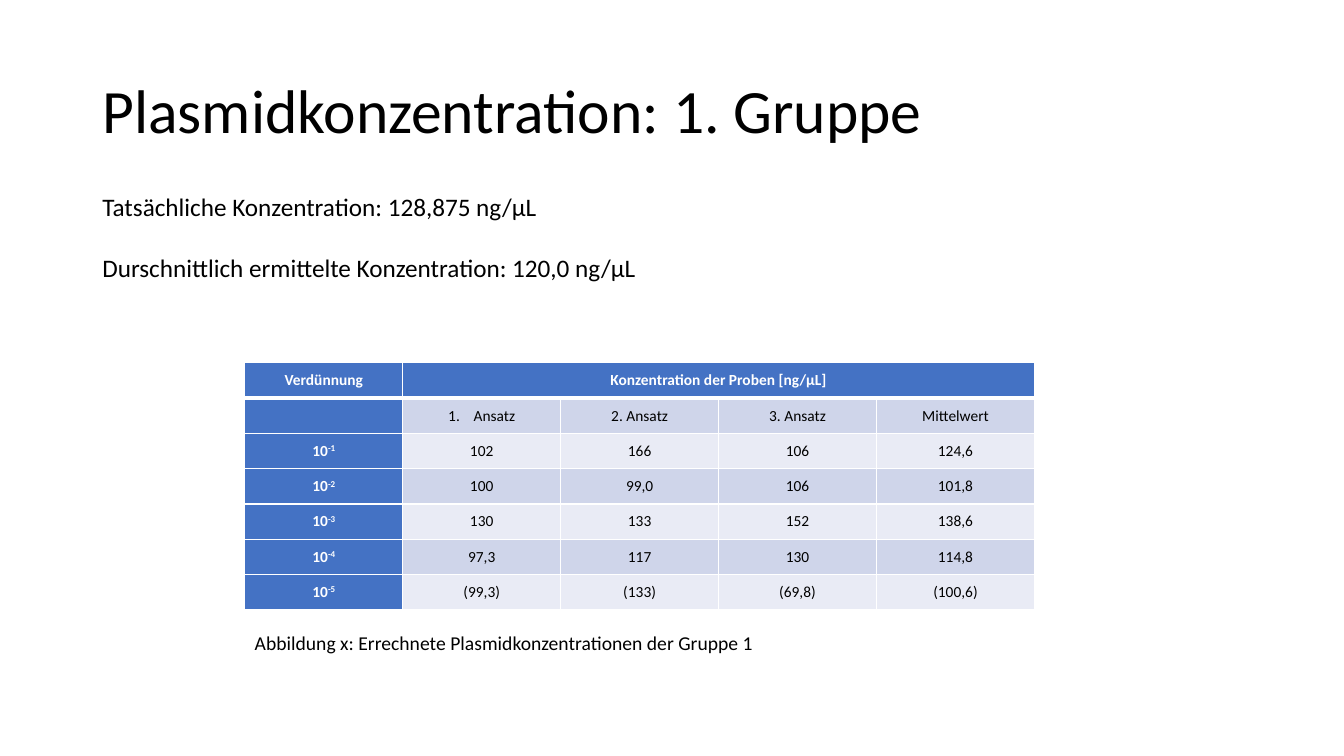
from lxml.etree import SubElement
from pptx import Presentation
from pptx.dml.color import RGBColor
from pptx.enum.text import MSO_ANCHOR as Anchor, PP_ALIGN as Align
from pptx.oxml.ns import qn
from pptx.util import Cm, Pt

FONT = "Calibri"
BLACK, WHITE, BLUE = "000000", "FFFFFF", "4472C4"
BANDS = ("CFD5EA", "E9EBF5")
COLUMN_WIDTH, ROW_HEIGHT = Cm(3.98), Cm(0.89)

HEADINGS = ["Ansatz", "2. Ansatz", "3. Ansatz", "Mittelwert"]
MEASUREMENTS = [
    ["102", "166", "106", "124,6"],
    ["100", "99,0", "106", "101,8"],
    ["130", "133", "152", "138,6"],
    ["97,3", "117", "130", "114,8"],
    ["(99,3)", "(133)", "(69,8)", "(100,6)"],
]


def color(hex_string):
    return RGBColor.from_string(hex_string)


def write(paragraph, text, size, ink=BLACK, bold=False, superscript="",
          align=Align.LEFT, line_spacing=1.0, space_before=0):
    paragraph.alignment = align
    paragraph.line_spacing = line_spacing
    paragraph.space_before = Pt(space_before)
    paragraph.font.size = Pt(size)
    for part in filter(None, (text, superscript)):
        run = paragraph.add_run()
        run.text = part
        run.font.name = FONT
        run.font.size = Pt(size)
        run.font.bold = bold
        run.font.color.rgb = color(ink)
    if superscript:
        run.font._element.set("baseline", "30000")


def add_title(slide, text):
    title = slide.shapes.title
    title.left, title.top = Cm(2.33), Cm(1.02)
    title.width, title.height = Cm(29.21), Cm(3.68)
    title.text_frame.vertical_anchor = Anchor.MIDDLE
    write(title.text_frame.paragraphs[0], text, 44, line_spacing=0.9)


def add_text_box(slide, left, top, width, height):
    frame = slide.shapes.add_textbox(left, top, width, height).text_frame
    frame.word_wrap = True
    return frame


def set_borders(cell, top=1, bottom=1):
    """Draw white cell borders; call before the fill, as the schema orders them."""
    properties = cell._tc.get_or_add_tcPr()
    for side, points in (("L", 1), ("R", 1), ("T", top), ("B", bottom)):
        line = SubElement(properties, qn(f"a:ln{side}"), w=str(Pt(points)))
        fill = SubElement(line, qn("a:solidFill"))
        SubElement(fill, qn("a:srgbClr"), val=WHITE)


def number_paragraph(paragraph):
    properties = paragraph._p.get_or_add_pPr()
    indent = Cm(0.64)
    properties.set("marL", str(indent))
    properties.set("indent", str(-indent))
    SubElement(properties, qn("a:buFont"), typeface="+mj-lt")
    SubElement(properties, qn("a:buAutoNum"), type="arabicPeriod")


def fill_cell(table, row, column, text, superscript=""):
    cell = table.cell(row, column)
    is_heading = row == 0 or column == 0
    set_borders(cell, top=3 if row == 1 else 1, bottom=3 if row == 0 else 1)
    cell.fill.solid()
    cell.fill.fore_color.rgb = color(BLUE if is_heading else BANDS[(row - 1) % 2])
    cell.vertical_anchor = Anchor.MIDDLE
    cell.margin_left = cell.margin_right = Cm(0.18)
    cell.margin_top = cell.margin_bottom = 0
    write(cell.text_frame.paragraphs[0], text, 11, superscript=superscript,
          ink=WHITE if is_heading else BLACK, bold=is_heading, align=Align.CENTER)


def add_concentration_table(slide, left, top):
    row_count, column_count = len(MEASUREMENTS) + 2, len(HEADINGS) + 1
    table = slide.shapes.add_table(
        row_count, column_count, left, top,
        COLUMN_WIDTH * column_count, ROW_HEIGHT * row_count).table
    for column in table.columns:
        column.width = COLUMN_WIDTH
    for row in table.rows:
        row.height = ROW_HEIGHT

    rows = [["Verdünnung", "Konzentration der Proben [ng/µL]", "", "", ""],
            ["", *HEADINGS]]
    rows += [["10", *values] for values in MEASUREMENTS]
    for r, texts in enumerate(rows):
        for c, text in enumerate(texts):
            exponent = f"-{r - 1}" if c == 0 and r > 1 else ""
            fill_cell(table, r, c, text, superscript=exponent)
    table.cell(0, 1).merge(table.cell(0, column_count - 1))
    number_paragraph(table.cell(1, 1).text_frame.paragraphs[0])


def main():
    presentation = Presentation()
    presentation.slide_width, presentation.slide_height = Cm(33.87), Cm(19.05)
    title_only = presentation.slide_layouts.get_by_name("Title Only")
    slide = presentation.slides.add_slide(title_only)

    add_title(slide, "Plasmidkonzentration: 1. Gruppe")
    add_concentration_table(slide, Cm(6.17), Cm(9.14))

    results = add_text_box(slide, Cm(2.33), Cm(4.7), Cm(28.98), Cm(2.56))
    write(results.paragraphs[0], "Tatsächliche Konzentration: 128,875 ng/µL", 18)
    write(results.add_paragraph(),
          "Durschnittlich ermittelte Konzentration: 120,0 ng/µL", 18, space_before=22)

    caption = add_text_box(slide, Cm(6.17), Cm(15.85), Cm(29.21), Cm(1.12))
    write(caption.paragraphs[0],
          "Abbildung x: Errechnete Plasmidkonzentrationen der Gruppe 1", 14,
          line_spacing=0.9, space_before=10)

    presentation.save("out.pptx")


if __name__ == "__main__":
    main()
